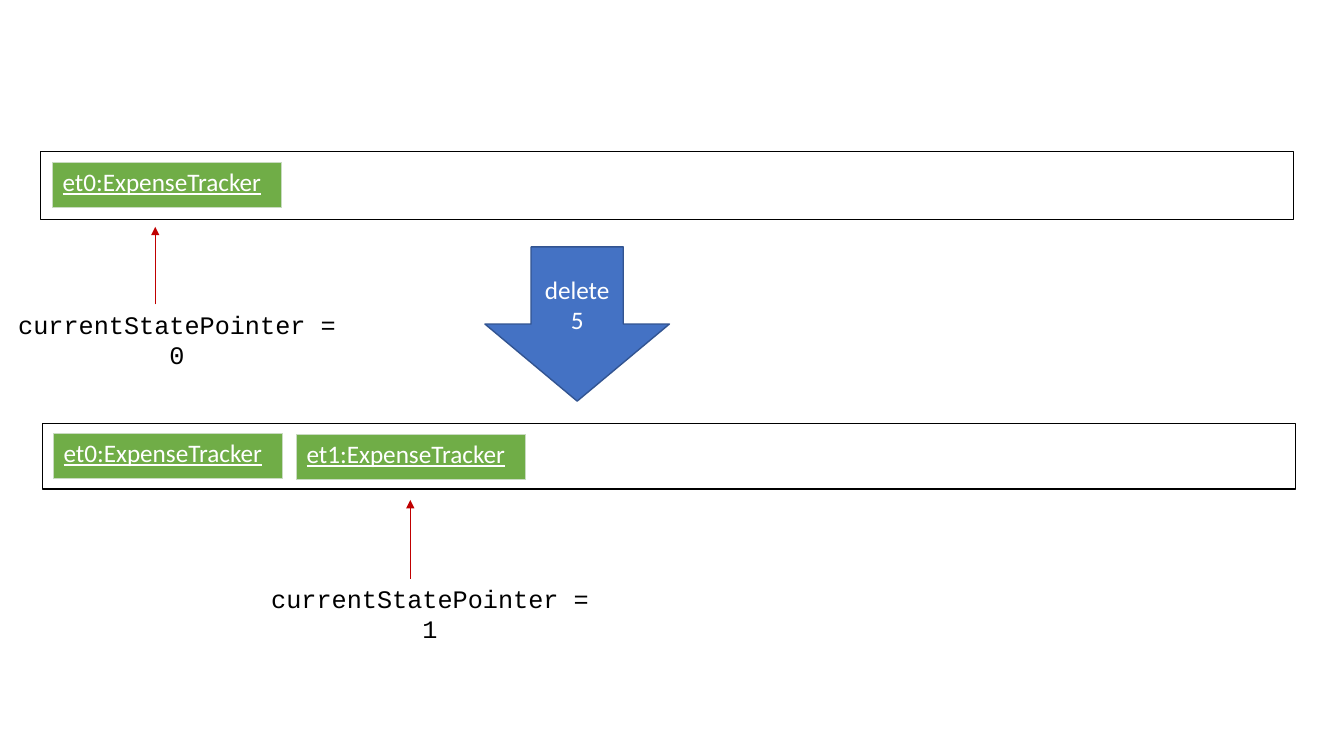
from lxml import etree
from pptx import Presentation
from pptx.dml.color import RGBColor
from pptx.enum.shapes import MSO_CONNECTOR, MSO_SHAPE
from pptx.enum.text import MSO_ANCHOR, PP_ALIGN
from pptx.oxml.ns import qn
from pptx.util import Inches, Pt

CENTER, MIDDLE = PP_ALIGN.CENTER, MSO_ANCHOR.MIDDLE
RECT, DOWN_ARROW = MSO_SHAPE.RECTANGLE, MSO_SHAPE.DOWN_ARROW
STRAIGHT = MSO_CONNECTOR.STRAIGHT
TRACKER_W, TRACKER_H = 2.27, 0.45


def color(value):
    return RGBColor.from_string(value)


def add_text(frame, text, font, ink, underline=False):
    run = frame.paragraphs[0].add_run()
    run.text = text
    run.font.name, run.font.size = font, Pt(18)
    run.font.color.rgb = color(ink)
    run.font.underline = underline


prs = Presentation()
prs.slide_width, prs.slide_height = Inches(13.33), Inches(7.5)
slide = prs.slides.add_slide(prs.slide_layouts[6])
shapes = slide.shapes

# History lists: left, top, height
for left, top, height in [(0.4, 1.5, 0.68), (0.42, 4.2, 0.65)]:
    history = shapes.add_shape(RECT, Inches(left), Inches(top), Inches(12.43), Inches(height))
    history.shadow.inherit = False
    history.fill.background()
    history.line.color.rgb = color("000000")
    history.line.width = Pt(1)

# Saved states: one-cell tables with thin pale borders
for name, left, top in [("et0", 0.52, 1.61), ("et0", 0.53, 4.3), ("et1", 2.94, 4.31)]:
    tracker = shapes.add_table(1, 1, Inches(left), Inches(top),
                               Inches(TRACKER_W), Inches(TRACKER_H)).table
    cell = tracker.cell(0, 0)
    add_text(cell.text_frame, f"{name}:ExpenseTracker", "Calibri", "FFFFFF", True)
    props = cell._tc.get_or_add_tcPr()
    for side in ("lnL", "lnR", "lnT", "lnB"):
        border = etree.SubElement(props, qn(f"a:{side}"), w=str(Pt(0.5)))
        border_fill = etree.SubElement(border, qn("a:solidFill"))
        etree.SubElement(border_fill, qn("a:srgbClr"), val="C9DBC1")
    cell.fill.solid()
    cell.fill.fore_color.rgb = color("70AD47")

# Command that leads from the first list to the second
command = shapes.add_shape(DOWN_ARROW, Inches(4.81), Inches(2.45), Inches(1.83), Inches(1.53))
command.shadow.inherit = False
command.fill.solid()
command.fill.fore_color.rgb = color("4472C4")
command.line.color.rgb = color("325491")
command.line.width = Pt(1)
command.text_frame.word_wrap = True
command.text_frame.vertical_anchor = MIDDLE
command.text_frame.paragraphs[0].alignment = CENTER
add_text(command.text_frame, "delete 5", "Calibri", "FFFFFF")

# Pointers: index, label left, label top, arrow x, arrow tip
for index, left, top, x, tip in [(0, 0, 3.02, 1.54, 2.25), (1, 2.51, 5.74, 4.07, 4.96)]:
    label = shapes.add_textbox(Inches(left), Inches(top), Inches(3.51), Inches(0.4)).text_frame
    label.word_wrap = True
    label.paragraphs[0].alignment = CENTER
    add_text(label, f"currentStatePointer = {index}", "Courier New", "000000")

    pointer = shapes.add_connector(STRAIGHT, Inches(x), Inches(top), Inches(x), Inches(tip))
    pointer.line.color.rgb = color("C00000")
    pointer.line.width = Pt(0.5)
    etree.SubElement(pointer.line._get_or_add_ln(), qn("a:tailEnd"), type="triangle")
    etree.SubElement(pointer._element.spPr, qn("a:effectLst"))

prs.save("out.pptx")
